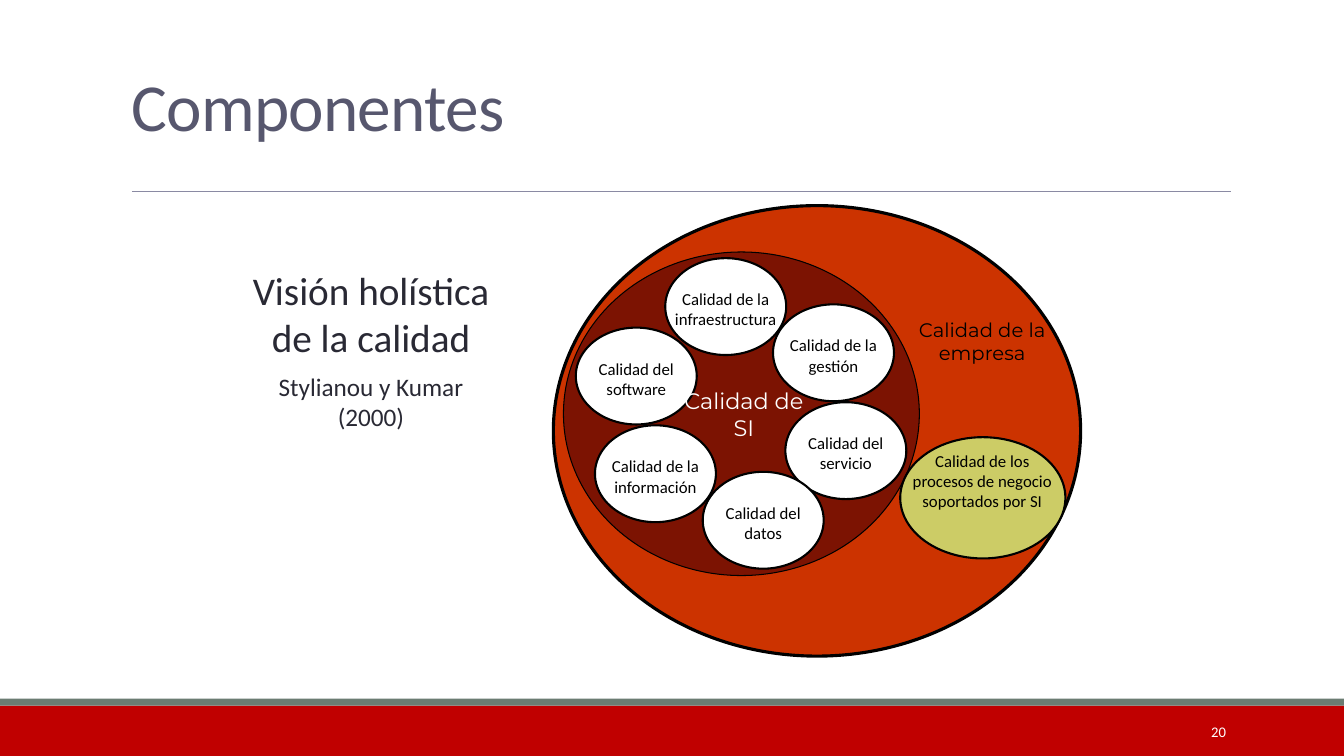
"""Build a slide on the components of information system quality."""
from lxml import etree
from pptx import Presentation
from pptx.dml.color import RGBColor
from pptx.enum.shapes import MSO_CONNECTOR, MSO_SHAPE
from pptx.enum.text import MSO_ANCHOR, MSO_AUTO_SIZE, PP_ALIGN
from pptx.oxml.ns import qn
from pptx.util import Pt

BLACK = RGBColor(0x00, 0x00, 0x00)
WHITE = RGBColor(0xFF, 0xFF, 0xFF)
RED = RGBColor(0xC0, 0x00, 0x00)
GRAY_GREEN = RGBColor(0x6B, 0x7C, 0x72)
RULE_GRAY = RGBColor(0x8A, 0x8A, 0xA3)
TITLE_GRAY = RGBColor(0x57, 0x57, 0x6E)
DARK_TEXT = RGBColor(0x29, 0x29, 0x34)
ORANGE = RGBColor(0xCC, 0x33, 0x00)
MAROON = RGBColor(0x7C, 0x13, 0x02)
OLIVE = RGBColor(0xCC, 0xCC, 0x66)


def add_figure(shapes, kind, box, fill, line_width=0):
    shape = shapes.add_shape(kind, *map(Pt, box))
    shape.shadow.inherit = False
    shape.fill.solid()
    shape.fill.fore_color.rgb = fill
    if line_width:
        shape.line.color.rgb = BLACK
        shape.line.width = Pt(line_width)
    else:
        shape.line.fill.background()


def add_text(shapes, box, lines, font_name, color, alignment=PP_ALIGN.CENTER, insets=(3.6, 1.44)):
    text_box = shapes.add_textbox(*map(Pt, box))
    text_frame = text_box.text_frame
    text_frame.word_wrap = True
    text_frame.margin_left = text_frame.margin_right = Pt(insets[0])
    text_frame.margin_top = text_frame.margin_bottom = Pt(insets[1])
    text_frame.text = "\n".join(text for text, size in lines)
    for paragraph, (text, size) in zip(text_frame.paragraphs, lines):
        paragraph.alignment = alignment
        font = paragraph.runs[0].font
        font.name = font_name
        font.size = Pt(size)
        font.color.rgb = color
    return text_frame


presentation = Presentation()
presentation.slide_width = Pt(960)
presentation.slide_height = Pt(540)
slide = presentation.slides.add_slide(presentation.slide_layouts[5])

add_figure(slide.shapes, MSO_SHAPE.RECTANGLE, (0, 504, 960, 36), RED)
add_figure(slide.shapes, MSO_SHAPE.RECTANGLE, (0, 499, 960, 5), GRAY_GREEN)

title_rule = slide.shapes.add_connector(MSO_CONNECTOR.STRAIGHT, Pt(94.3), Pt(136.8), Pt(879), Pt(136.8))
title_rule.line.color.rgb = RULE_GRAY
title_rule.line.width = Pt(0.5)
etree.SubElement(title_rule._element.spPr, qn("a:effectLst"))

title = slide.shapes.title
title.left, title.top, title.width, title.height = map(Pt, (86.6, 22.3, 792, 114.5))
title.text_frame.text = "Componentes"
title.text_frame.auto_size = MSO_AUTO_SIZE.NONE
title.text_frame.vertical_anchor = MSO_ANCHOR.MIDDLE
title_paragraph = title.text_frame.paragraphs[0]
title_paragraph.alignment = PP_ALIGN.LEFT
title_paragraph.line_spacing = 0.85
title_run = title_paragraph.runs[0]
title_run.font.name = "Calibri"
title_run.font.size = Pt(48)
title_run.font.color.rgb = TITLE_GRAY
title_run._r.get_or_add_rPr().set("spc", "-50")

vision = add_text(
    slide.shapes, (173.5, 186.5, 183, 163.4),
    [("Visión holística de la calidad", 28), ("Stylianou y Kumar (2000)", 18)],
    "Calibri", DARK_TEXT, insets=(7.2, 3.6),
)
vision.paragraphs[1].space_before = Pt(8)

diagram = slide.shapes.add_group_shape().shapes
for box, fill, line_width in [
    ((395.3, 146.9, 376.6, 321.8), ORANGE, 2.25),
    ((402.5, 180, 254.2, 231.1), MAROON, 0.75),
    ((643, 312.3, 118, 86.6), OLIVE, 1.5),
]:
    add_figure(diagram, MSO_SHAPE.OVAL, box, fill, line_width)

components = [
    ("Calidad de la infraestructura", 475.2, 184.4),
    ("Calidad de la gestión", 552.2, 217.4),
    ("Calidad del servicio", 561, 287.3),
    ("Calidad del datos", 502, 337),
    ("Calidad de la información", 425, 303.8),
    ("Calidad del software", 411.3, 234),
]
for name, left, top in components:
    add_figure(diagram, MSO_SHAPE.OVAL, (left, top, 86.4, 69.2), WHITE, 1.5)
    add_text(diagram, (left, top + 20.6, 86.4, 31.7), [(name, 12)], "Calibri", BLACK)

for name, box, font_name, size, color in [
    ("Calidad de los procesos de negocio soportados por SI", (647.3, 320.4, 108.7, 64), "Calibri", 12, BLACK),
    ("Calidad de la empresa", (651.6, 225.4, 100, 64), "Montserrat", 14, BLACK),
    ("Calidad de SI", (483.8, 275, 95, 38), "Montserrat", 16, WHITE),
]:
    add_text(diagram, box, [(name, size)], font_name, color)

page_number = add_text(
    slide.shapes, (779.8, 508.3, 103, 28.8), [("20", 10.5)],
    "Calibri", WHITE, PP_ALIGN.RIGHT, (7.2, 3.6),
)
page_number.vertical_anchor = MSO_ANCHOR.MIDDLE

presentation.save("out.pptx")
